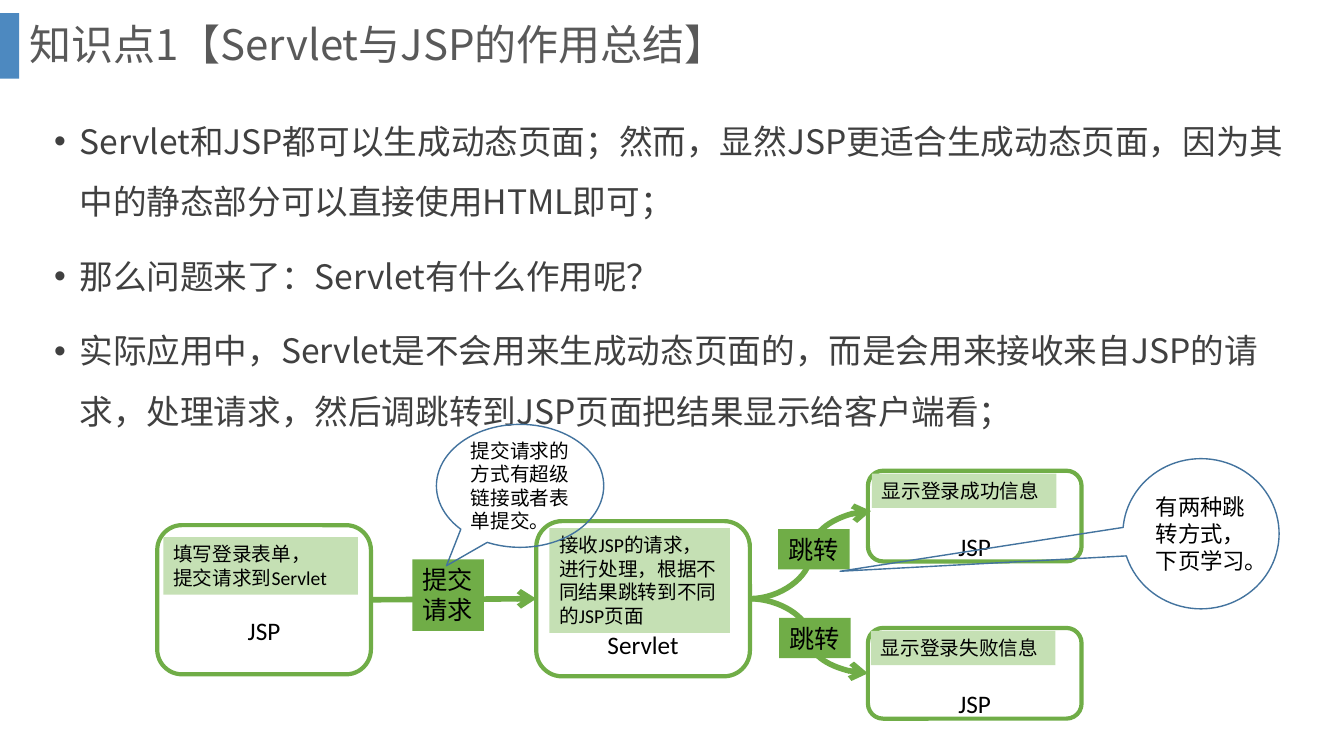
from dataclasses import dataclass
from typing import Any

import lxml.etree
import pptx
import pptx.dml.color
import pptx.enum.shapes
import pptx.enum.text
import pptx.oxml
import pptx.oxml.ns
import pptx.util

FORM = pptx.enum.shapes.MSO_SHAPE
WIRE = pptx.enum.shapes.MSO_CONNECTOR
ANCHOR = pptx.enum.text.MSO_ANCHOR
ALIGN = pptx.enum.text.PP_ALIGN
FIT = pptx.enum.text.MSO_AUTO_SIZE
Area = tuple[float, float, float, float]  # column, row, columns, rows
Point = tuple[float, float]


@dataclass(frozen=True)
class Theme:
    accent: str = "2E75B6"
    green: str = "70AD47"
    pale: str = "C5E0B4"
    blue: str = "43739E"
    black: str = "000000"
    body: str = "404040"
    head: str = "595959"
    latin: str = "Calibri"
    hans: str = "Noto Sans CJK SC"
    small: int = 14
    mid: int = 16
    label: int = 18
    text: int = 24
    title: int = 30


@dataclass(frozen=True)
class Look:
    form: Any
    fill: str | None = None
    line: str | None = None
    width: float = 0
    size: int = 18
    anchor: Any = ANCHOR.TOP
    align: Any = ALIGN.LEFT
    fit: Any = FIT.NONE


@dataclass(frozen=True)
class Block:
    look: Look
    area: Area
    text: str
    drop: int = 0  # label lines the text is set down by
    tip: Point | None = None  # callout point


@dataclass(frozen=True)
class Link:
    wire: Any
    start: Point
    end: Point


THEME = Theme()
COLS, ROWS = 160, 90
WIDTH, HEIGHT = pptx.util.Inches(13.33), pptx.util.Inches(7.5)
LINE = pptx.util.Inches(0.3)

BOX = Look(FORM.ROUNDED_RECTANGLE, line=THEME.green, width=3, size=THEME.label,
           anchor=ANCHOR.MIDDLE, align=ALIGN.CENTER)
NOTE = Look(FORM.RECTANGLE, fill=THEME.pale, size=THEME.small, fit=FIT.SHAPE_TO_FIT_TEXT)
TAG = Look(FORM.RECTANGLE, fill=THEME.green, size=THEME.label, fit=FIT.SHAPE_TO_FIT_TEXT)
HINT = Look(FORM.OVAL_CALLOUT, line=THEME.blue, width=1, size=THEME.small,
            anchor=ANCHOR.MIDDLE)
ASIDE = Look(FORM.OVAL_CALLOUT, line=THEME.blue, width=1, size=THEME.mid,
             anchor=ANCHOR.MIDDLE)

TITLE = "知识点1【Servlet与JSP的作用总结】"
POINTS = [
    "Servlet和JSP都可以生成动态页面；然而，显然JSP更适合生成动态页面，因为其中的静态部分可以直接使用HTML即可；",
    "那么问题来了：Servlet有什么作用呢？",
    "实际应用中，Servlet是不会用来生成动态页面的，而是会用来接收来自JSP的请求，处理请求，然后调跳转到JSP页面把结果显示给客户端看；",
]
PAGES = [
    Block(BOX, (18.72, 62.52, 25.44, 17.76), "JSP", 2),
    Block(BOX, (63.84, 62.04, 25.44, 18.48), "Servlet", 3),
    Block(NOTE, (19.44, 63.96, 23.16, 6.84), "填写登录表单，\n提交请求到Servlet"),
    Block(NOTE, (65.4, 62.88, 21.48, 12.48), "接收JSP的请求，进行处理，根据不同结果跳转到不同的JSP页面"),
    Block(BOX, (103.32, 56.04, 25.44, 10.8), "JSP", 2),
    Block(NOTE, (103.8, 56.4, 21.96, 4.08), "显示登录成功信息"),
    Block(BOX, (103.32, 74.76, 25.44, 10.8), "JSP", 2),
    Block(NOTE, (103.68, 75.12, 21.96, 4.08), "显示登录失败信息"),
]
FORK = (89.28, 71.28)
LINKS = [
    Link(WIRE.STRAIGHT, (44.28, 71.4), (63.84, 71.28)),
    Link(WIRE.CURVE, FORK, (103.68, 60.84)),
    Link(WIRE.CURVE, FORK, (103.32, 80.16)),
]
TAGS = [
    Block(TAG, (49.08, 66.6, 8.52, 8.52), "提交请求"),
    Block(TAG, (92.64, 63, 8.52, 4.8), "跳转"),
    Block(TAG, (92.76, 73.56, 8.52, 4.8), "跳转"),
    Block(HINT, (51.96, 50.52, 19.92, 14.64), "提交请求的方式有超级链接或者表单提交。", tip=(-0.44, 0.65)),
    Block(ASIDE, (133.68, 54.6, 18.6, 17.88), "有两种跳转方式，下页学习。", tip=(-2.31, 0.25)),
]


def col(n: float) -> int:
    return round(WIDTH * n / COLS)


def row(n: float) -> int:
    return round(HEIGHT * n / ROWS)


def place(area: Area) -> tuple[int, int, int, int]:
    x, y, w, h = area
    return col(x), row(y), col(w), row(h)


def apply(item: Any, values: dict[str, Any]) -> None:
    for name, value in values.items():
        setattr(item, name, value)


def tint(code: str) -> Any:
    return pptx.dml.color.RGBColor.from_string(code)


def add(parent: Any, tag: str, **values: str) -> Any:
    node = lxml.etree.SubElement(parent, pptx.oxml.ns.qn(tag))
    for name, value in values.items():
        node.set(name, value)
    return node


def write(frame: Any, lines: list[str], face: str, size: int, shade: str,
          layout: dict[str, Any]) -> None:
    frame.text = "\n".join(lines)
    for para in frame.paragraphs:
        apply(para, layout)
        for run in para.runs:
            apply(run.font, {"name": face, "size": pptx.util.Pt(size)})
            run.font.color.rgb = tint(shade)
            add(run.font._element, "a:ea", typeface=THEME.hans)


def paint(shape: Any, look: Look) -> None:
    shape.shadow.inherit = False
    if look.fill:
        shape.fill.solid()
        shape.fill.fore_color.rgb = tint(look.fill)
    else:
        shape.fill.background()
    if look.line:
        shape.line.color.rgb = tint(look.line)
        shape.line.width = pptx.util.Pt(look.width)
    else:
        shape.line.fill.background()


def draw(slide: Any, block: Block) -> None:
    look = block.look
    shape = slide.shapes.add_shape(look.form, *place(block.area))
    paint(shape, look)
    for i, value in enumerate(block.tip or ()):
        shape.adjustments[i] = value
    frame = shape.text_frame
    write(frame, block.text.split("\n"), THEME.latin, look.size, THEME.black,
          {"alignment": look.align})
    apply(frame, {"word_wrap": True, "vertical_anchor": look.anchor, "auto_size": look.fit})
    if block.drop:
        apply(frame, {"margin_top": block.drop * LINE, "margin_bottom": 0})


def join(slide: Any, link: Link) -> None:
    (x, y), (u, v) = link.start, link.end
    wire = slide.shapes.add_connector(link.wire, col(x), row(y), col(u), row(v))
    wire.line.color.rgb = tint(THEME.green)
    wire.line.width = pptx.util.Pt(4)
    add(wire.line._get_or_add_ln(), "a:tailEnd", type="arrow")
    add(wire._element.spPr, "a:effectLst")


def main() -> None:
    deck = pptx.Presentation()
    apply(deck, {"slide_width": WIDTH, "slide_height": HEIGHT})
    slide = deck.slides.add_slide(deck.slide_layouts[5])

    # Title with its side bar
    bar = slide.shapes.add_shape(FORM.RECTANGLE, *place((0, 1.56, 2.28, 7.8)))
    paint(bar, Look(FORM.RECTANGLE, fill=THEME.accent))
    shade = bar._element.spPr.find(".//" + pptx.oxml.ns.qn("a:srgbClr"))
    add(shade, "a:alpha", val="85000")
    title = slide.shapes.title
    apply(title, dict(zip(("left", "top", "width", "height"), place((2.28, 0, 151.92, 11.16)))))
    write(title.text_frame, [TITLE], THEME.hans, THEME.title, THEME.head,
          {"alignment": ALIGN.LEFT, "line_spacing": 0.9})
    apply(title.text_frame, {"word_wrap": True, "vertical_anchor": ANCHOR.MIDDLE,
                             "auto_size": FIT.NONE})

    # Bulleted points
    body = slide.shapes.add_textbox(*place((5.28, 11.4, 149.28, 42.36))).text_frame
    body.word_wrap = True
    write(body, POINTS, THEME.hans, THEME.text, THEME.body,
          {"line_spacing": 1.5, "space_before": pptx.util.Pt(10)})
    for para in body.paragraphs:
        props = para._p.get_or_add_pPr()
        inset = pptx.util.Inches(0.25)
        props.set("marL", str(inset))
        props.set("indent", str(-inset))
        add(props, "a:buFont", typeface="Arial")
        add(props, "a:buChar", char="•")

    # Request flow, back to front
    for block in PAGES:
        draw(slide, block)
    for link in LINKS:
        join(slide, link)
    for block in TAGS:
        draw(slide, block)

    deck.save("out.pptx")


if __name__ == "__main__":
    main()
